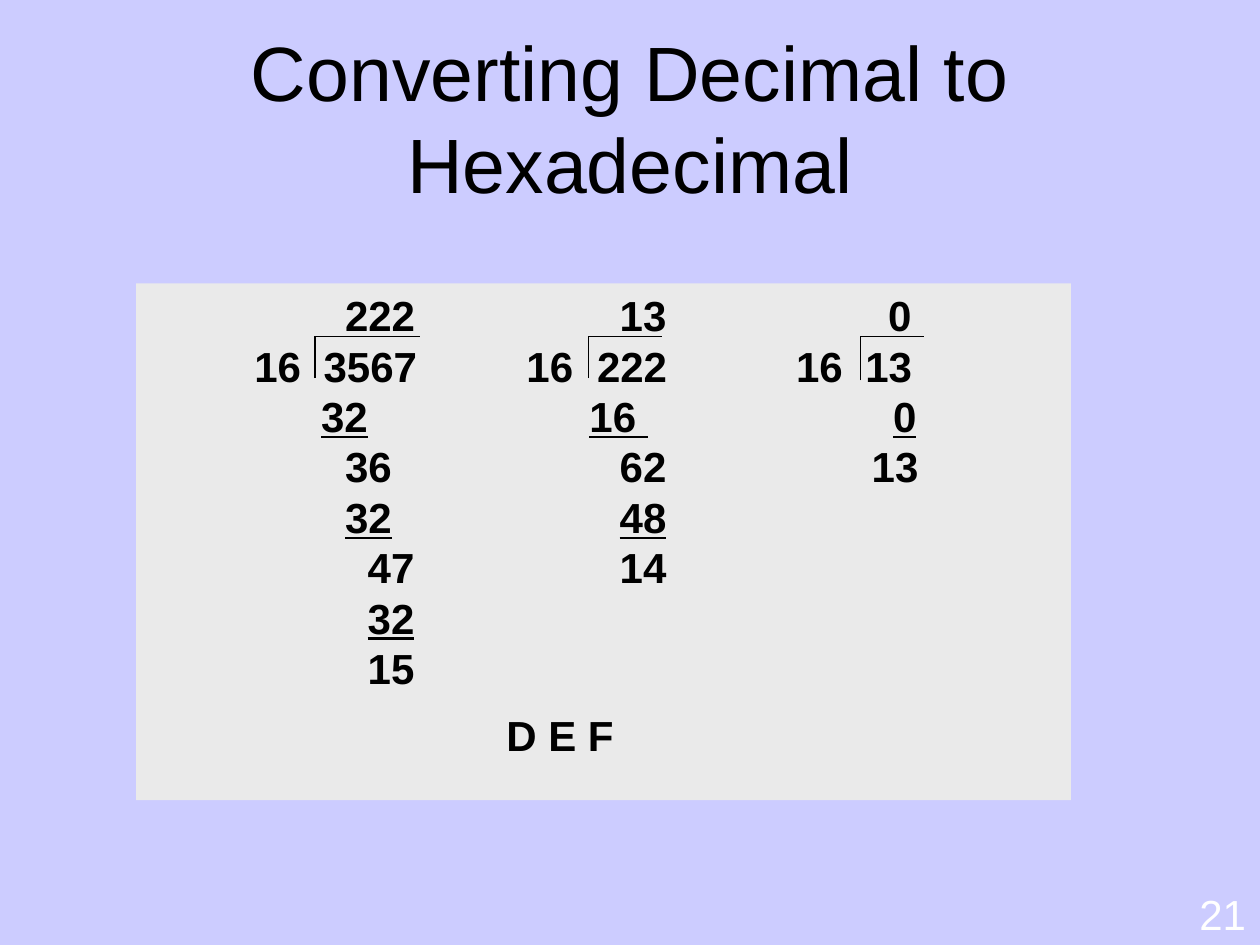
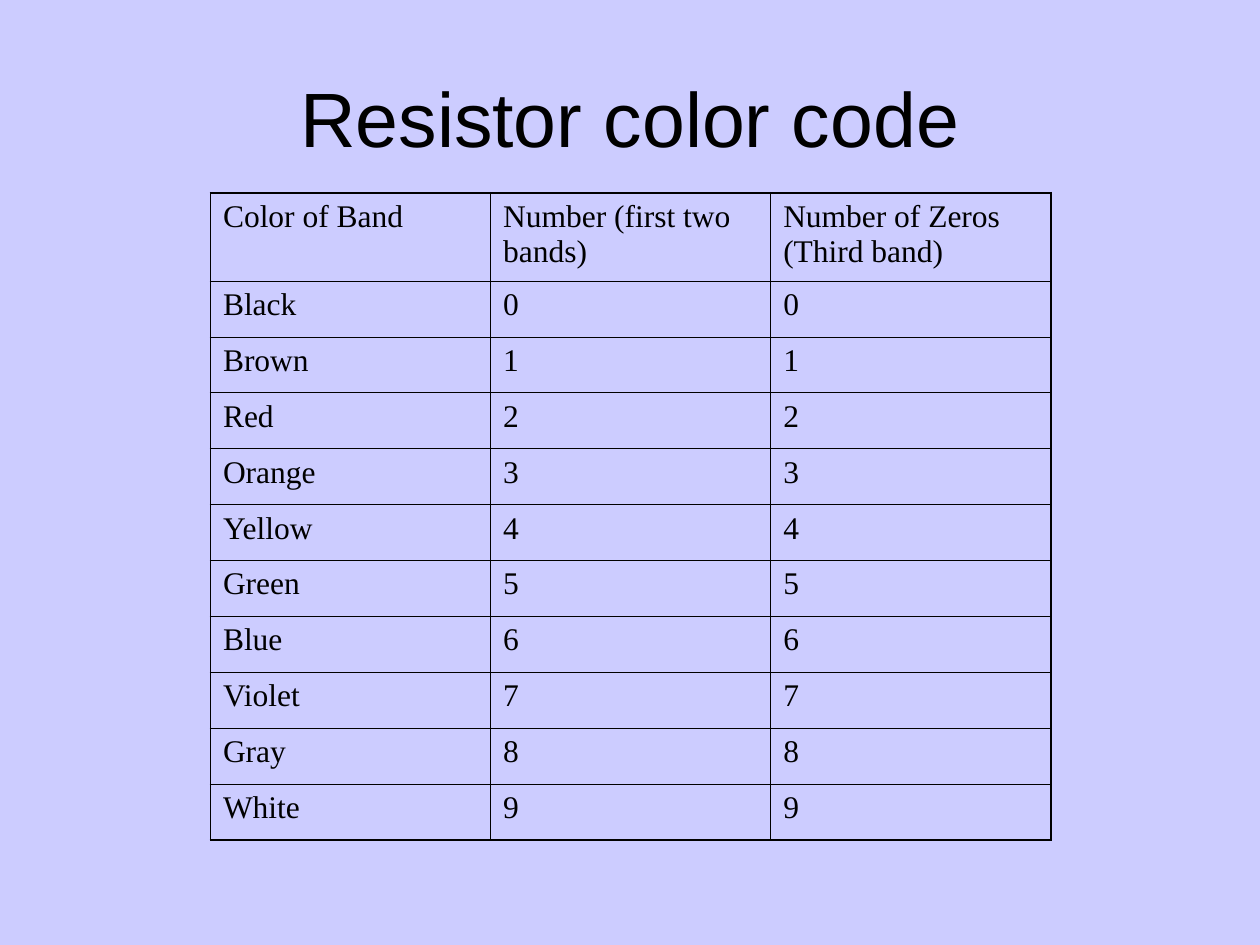
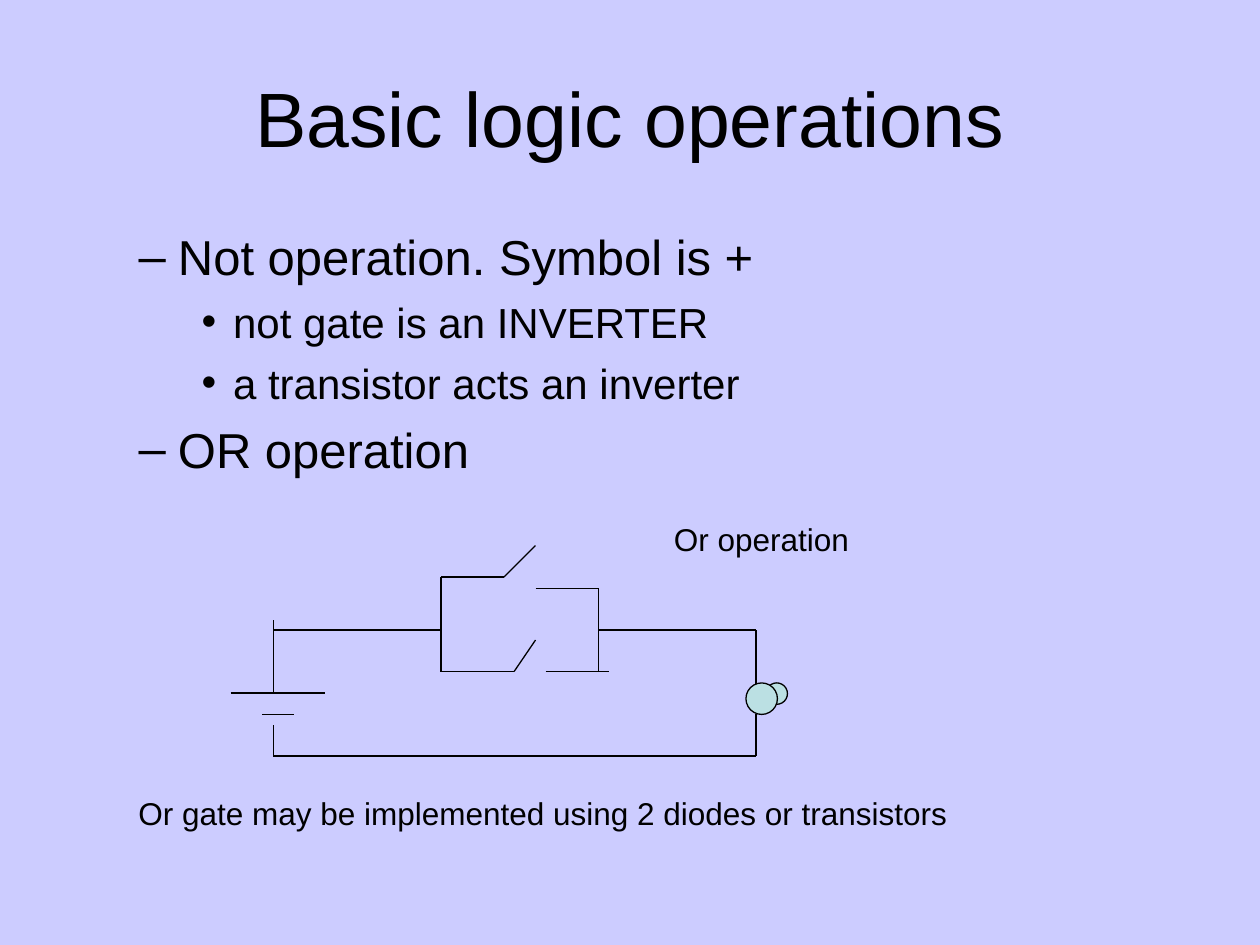
from dataclasses import dataclass
from typing import NamedTuple

import pptx
import pptx.dml.color
import pptx.enum.shapes
import pptx.enum.text
import pptx.oxml.ns
import pptx.util
from lxml import etree
from pptx.util import Inches


@dataclass(frozen=True)
class Theme:
    background: str = "CCCCFF"
    panel: str = "EAEAEA"
    lamp: str = "BBE0E3"
    ink: str = "000000"
    page_number: str = "FFFFFF"
    font: str = "Arial"
    table_font: str = "Times New Roman"
    title_size: float = 44
    body_size: float = 28
    detail_size: float = 24
    note_size: float = 18
    line_width: float = 0.75
    inner_border: float = 0.45
    outer_border: float = 1.08
    line_height: float = 1.2


THEME = Theme()


class Box(NamedTuple):
    left: float
    top: float
    width: float
    height: float

    def lengths(self) -> list:
        return [Inches(value) for value in self]


class Wire(NamedTuple):
    x1: float
    y1: float
    x2: float
    y2: float


class Figure(NamedTuple):
    """A number in the long division, placed by its left edge on the slide."""
    left: float
    text: str
    underlined: bool = False


class Bracket(NamedTuple):
    left: float
    right: float
    bottom: float


class Bullet(NamedTuple):
    level: int
    text: str
    size: float
    space_before: float


TITLE_BOX = Box(0.5, 0.3, 9, 1.25)
INSET = 0.1

# Long division: one tuple of figures for each line of working
DIVISION_BOX = Box(1.08, 2.25, 7.42, 4.1)
DIVISION_LINES = (
    (Figure(2.74, "222"), Figure(4.92, "13"), Figure(7.05, "0")),
    (Figure(2.02, "16"), Figure(2.57, "3567"), Figure(4.18, "16"),
     Figure(4.74, "222"), Figure(6.32, "16"), Figure(6.87, "13")),
    (Figure(2.55, "32", True), Figure(4.68, "16 ", True), Figure(7.09, "0", True)),
    (Figure(2.74, "36"), Figure(4.92, "62"), Figure(6.92, "13")),
    (Figure(2.74, "32", True), Figure(4.92, "48", True)),
    (Figure(2.92, "47"), Figure(4.92, "14")),
    (Figure(2.92, "32", True),),
    (Figure(2.92, "15"),),
)
BRACKET_TOP = 2.67
BRACKETS = (Bracket(2.5, 3.33, 3), Bracket(4.67, 5.25, 3), Bracket(6.83, 7.33, 3.02))

# Resistor table
TABLE_BOX = Box(1.67, 1.53, 6.67, 5.14)
HEADER_HEIGHT = 0.7
HEADERS = ("Color of Band", "Number (first two bands)", "Number of Zeros (Third band)")
BAND_COLORS = ("Black", "Brown", "Red", "Orange", "Yellow",
               "Green", "Blue", "Violet", "Gray", "White")

# Logic operations
BULLETS = (
    Bullet(1, "Not operation. Symbol is +", THEME.body_size, 0),
    Bullet(2, "not gate is an INVERTER", THEME.detail_size, 6),
    Bullet(2, "a transistor acts an inverter", THEME.detail_size, 6),
    Bullet(1, "OR operation", THEME.body_size, 7),
)
BATTERY = (
    Wire(1.83, 5.5, 2.58, 5.5), Wire(2.17, 5.5, 2.17, 4.92),
    Wire(2.08, 5.67, 2.33, 5.67), Wire(2.17, 6, 2.17, 5.75),
)
SWITCHES = (
    Wire(3.5, 4.58, 3.5, 5.33),
    Wire(3.5, 4.58, 4, 4.58), Wire(4, 4.58, 4.25, 4.33), Wire(4.25, 4.67, 4.75, 4.67),
    Wire(3.5, 5.33, 4.08, 5.33), Wire(4.08, 5.33, 4.25, 5.08), Wire(4.33, 5.33, 4.83, 5.33),
    Wire(4.75, 4.67, 4.75, 5.33),
)
CIRCUIT_LOOP = (
    Wire(2.17, 5, 3.5, 5), Wire(4.75, 5, 6, 5), Wire(6, 5, 6, 5.5),
    Wire(6, 5.67, 6, 6), Wire(2.17, 6, 6, 6),
)
LAMP_PARTS = (Box(6.08, 5.42, 0.17, 0.17), Box(5.92, 5.42, 0.25, 0.25))


def rgb(color: str) -> pptx.dml.color.RGBColor:
    return pptx.dml.color.RGBColor.from_string(color)


def style_paragraph(paragraph, size: float, color: str = THEME.ink,
                    name: str = THEME.font, bold: bool = False) -> None:
    font = paragraph.font
    font.size, font.name, font.bold = pptx.util.Pt(size), name, bold
    font.color.rgb = rgb(color)
    if name == THEME.font:
        paragraph.line_spacing = pptx.util.Pt(size * THEME.line_height)


def add_titled_slide(presentation, layout_index: int, title: str):
    slide = presentation.slides.add_slide(presentation.slide_layouts[layout_index])
    shape = slide.shapes.title
    shape.left, shape.top, shape.width, shape.height = TITLE_BOX.lengths()
    frame = shape.text_frame
    frame.text = title
    frame.auto_size = pptx.enum.text.MSO_AUTO_SIZE.NONE
    frame.vertical_anchor = pptx.enum.text.MSO_ANCHOR.MIDDLE
    paragraph = frame.paragraphs[0]
    paragraph.alignment = pptx.enum.text.PP_ALIGN.CENTER
    style_paragraph(paragraph, THEME.title_size)
    return slide


def add_label(slide, box: Box, text: str, size: float,
              color: str = THEME.ink, bold: bool = False) -> None:
    frame = slide.shapes.add_textbox(*box.lengths()).text_frame
    frame.word_wrap = True
    frame.text = text
    style_paragraph(frame.paragraphs[0], size, color, bold=bold)


def add_wire(slide, wire: Wire) -> None:
    connector = slide.shapes.add_connector(
        pptx.enum.shapes.MSO_CONNECTOR.STRAIGHT, *[Inches(value) for value in wire])
    connector.line.color.rgb = rgb(THEME.ink)
    connector.line.width = pptx.util.Pt(THEME.line_width)
    etree.SubElement(connector._element.spPr, pptx.oxml.ns.qn("a:effectLst"))


def add_filled_shape(slide, kind, box: Box, fill: str, outlined: bool):
    shape = slide.shapes.add_shape(kind, *box.lengths())
    shape.shadow.inherit = False
    shape.fill.solid()
    shape.fill.fore_color.rgb = rgb(fill)
    if outlined:
        shape.line.color.rgb = rgb(THEME.ink)
        shape.line.width = pptx.util.Pt(THEME.line_width)
    else:
        shape.line.fill.background()
    return shape


def add_tab_stops(paragraph, positions: list[float]) -> None:
    properties = paragraph._p.get_or_add_pPr()
    tab_list = etree.SubElement(properties, pptx.oxml.ns.qn("a:tabLst"))
    for position in positions:
        etree.SubElement(tab_list, pptx.oxml.ns.qn("a:tab"),
                         pos=str(Inches(position)), algn="l")


def add_division_panel(slide) -> None:
    panel = add_filled_shape(slide, pptx.enum.shapes.MSO_SHAPE.RECTANGLE,
                             DIVISION_BOX, THEME.panel, outlined=False)
    frame = panel.text_frame
    frame.word_wrap = True
    frame.vertical_anchor = pptx.enum.text.MSO_ANCHOR.TOP
    text_left = DIVISION_BOX.left + INSET
    for index, figures in enumerate(DIVISION_LINES):
        paragraph = frame.add_paragraph() if index else frame.paragraphs[0]
        paragraph.alignment = pptx.enum.text.PP_ALIGN.LEFT
        add_tab_stops(paragraph, [figure.left - text_left for figure in figures])
        style_paragraph(paragraph, THEME.detail_size, bold=True)
        for figure in figures:
            paragraph.add_run().text = "\t"
            run = paragraph.add_run()
            run.text = figure.text
            if figure.underlined:
                run.font.underline = True


def set_borders(cell, widths: dict[str, float]) -> None:
    properties = cell._tc.get_or_add_tcPr()
    for position, (side, width) in enumerate(widths.items()):
        line = etree.Element(pptx.oxml.ns.qn(f"a:{side}"), w=str(pptx.util.Pt(width)))
        fill = etree.SubElement(line, pptx.oxml.ns.qn("a:solidFill"))
        etree.SubElement(fill, pptx.oxml.ns.qn("a:srgbClr"), val=THEME.ink)
        properties.insert(position, line)


def add_color_table(slide) -> None:
    rows = [HEADERS] + [(color, str(digit), str(digit))
                        for digit, color in enumerate(BAND_COLORS)]
    last_row, last_column = len(rows) - 1, len(HEADERS) - 1
    table = slide.shapes.add_table(len(rows), len(HEADERS), *TABLE_BOX.lengths()).table
    table.first_row = table.horz_banding = False
    for column in table.columns:
        column.width = Inches(TABLE_BOX.width / len(HEADERS))
    for index, row in enumerate(table.rows):
        row.height = Inches((TABLE_BOX.height - HEADER_HEIGHT) / last_row
                            if index else HEADER_HEIGHT)

    def border(is_outer: bool) -> float:
        return THEME.outer_border if is_outer else THEME.inner_border

    for row_index, values in enumerate(rows):
        for column_index, value in enumerate(values):
            cell = table.cell(row_index, column_index)
            cell.text = value
            cell.fill.background()
            style_paragraph(cell.text_frame.paragraphs[0], THEME.note_size,
                            name=THEME.table_font)
            set_borders(cell, {
                "lnL": border(column_index == 0),
                "lnR": border(column_index == last_column),
                "lnT": border(row_index == 0),
                "lnB": border(row_index == last_row),
            })


def fill_bullets(slide) -> None:
    frame = slide.placeholders[1].text_frame
    frame.auto_size = pptx.enum.text.MSO_AUTO_SIZE.NONE
    for index, bullet in enumerate(BULLETS):
        paragraph = frame.add_paragraph() if index else frame.paragraphs[0]
        paragraph.text = bullet.text
        paragraph.level = bullet.level
        paragraph.space_before = pptx.util.Pt(bullet.space_before)
        style_paragraph(paragraph, bullet.size)


def build_hexadecimal_slide(presentation) -> None:
    slide = add_titled_slide(presentation, 5, "Converting Decimal to Hexadecimal")
    add_division_panel(slide)
    for bracket in BRACKETS:
        add_wire(slide, Wire(bracket.left, bracket.bottom, bracket.left, BRACKET_TOP))
        add_wire(slide, Wire(bracket.left, BRACKET_TOP, bracket.right, BRACKET_TOP))
    add_label(slide, Box(3.92, 5.58, 2.66, 0.5), "D E F", THEME.detail_size, bold=True)
    add_label(slide, Box(9.42, 7, 0.58, 0.5), "21", THEME.detail_size, THEME.page_number)


def build_resistor_slide(presentation) -> None:
    slide = add_titled_slide(presentation, 5, "Resistor color code")
    add_color_table(slide)


def build_logic_slide(presentation) -> None:
    slide = add_titled_slide(presentation, 1, "Basic logic operations")
    fill_bullets(slide)
    for wire in BATTERY + SWITCHES + CIRCUIT_LOOP:
        add_wire(slide, wire)
    for part in LAMP_PARTS:
        add_filled_shape(slide, pptx.enum.shapes.MSO_SHAPE.OVAL, part, THEME.lamp,
                         outlined=True)
    add_label(slide, Box(5.25, 4.08, 3.5, 0.4), "Or operation", THEME.note_size)
    add_label(slide, Box(1, 6.25, 8.25, 0.4),
              "Or gate may be implemented using 2 diodes or transistors", THEME.note_size)


def main() -> None:
    presentation = pptx.Presentation()
    presentation.slide_width, presentation.slide_height = Inches(10), Inches(7.5)
    background = presentation.slide_master.background.fill
    background.solid()
    background.fore_color.rgb = rgb(THEME.background)
    build_hexadecimal_slide(presentation)
    build_resistor_slide(presentation)
    build_logic_slide(presentation)
    presentation.save("out.pptx")


if __name__ == "__main__":
    main()
